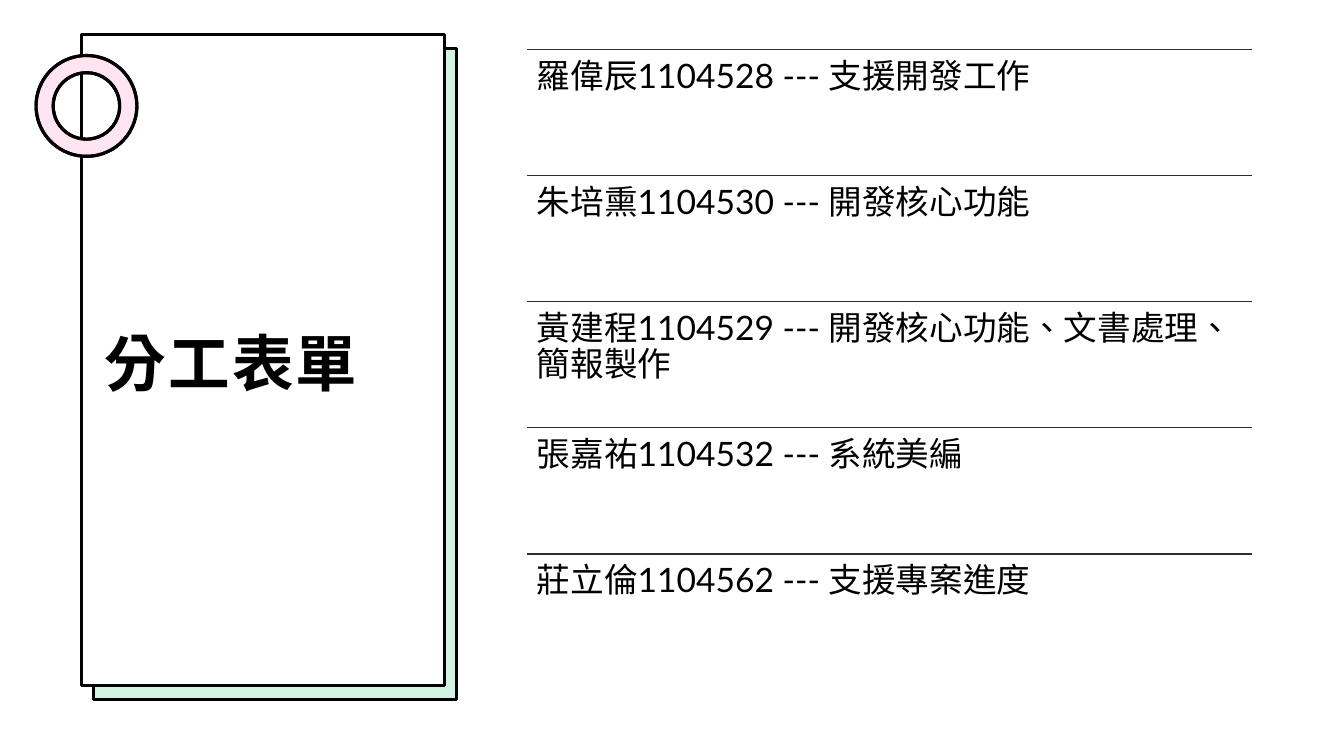
from lxml.etree import SubElement
from pptx import Presentation
from pptx.dml.color import RGBColor
from pptx.enum.shapes import MSO_CONNECTOR, MSO_SHAPE
from pptx.enum.text import MSO_ANCHOR, MSO_AUTO_SIZE, PP_ALIGN
from pptx.oxml.ns import qn
from pptx.util import Cm, Pt

COLORS = {
    "paper": "FFFFFF",
    "ink": "000000",
    "rule": "2D2D2D",
    "green": "21C46B",
    "pink": "FF80BD",
}
FONT = "Lato"
TASKS = [
    "羅偉辰1104528 --- 支援開發工作",
    "朱培熏1104530 --- 開發核心功能",
    "黃建程1104529 --- 開發核心功能、文書處理、簡報製作",
    "張嘉祐1104532 --- 系統美編",
    "莊立倫1104562 --- 支援專案進度",
]
LIST_LEFT, LIST_TOP, LIST_WIDTH, ROW_HEIGHT = 13.28, 1.24, 18.26, 3.18
CARD_SIZE = (9.14, 16.41)
RING_BOX = (0.91, 1.4, 2.54, 2.54)


def color(name):
    """Return the named colour."""
    return RGBColor.from_string(COLORS[name])


def write_text(shape, text, size, bold=False, spacing=0, anchor=MSO_ANCHOR.TOP,
               insets=(0.25, 0.25, 0.25, 0.25)):
    """Fill a shape with one formatted paragraph."""
    frame = shape.text_frame
    frame.word_wrap = True
    frame.auto_size = MSO_AUTO_SIZE.NONE
    frame.vertical_anchor = anchor
    frame.margin_left, frame.margin_top, frame.margin_right, frame.margin_bottom = map(Cm, insets)
    paragraph = frame.paragraphs[0]
    paragraph.alignment = PP_ALIGN.LEFT
    paragraph.line_spacing = 0.9
    run = paragraph.add_run()
    run.text = text
    run.font.name = FONT
    run.font.size = Pt(size)
    run.font.bold = bold
    run.font.color.rgb = color("ink")
    properties = run._r.get_or_add_rPr()
    properties.set("lang", "zh-TW")
    properties.set("spc", str(round(spacing * 100)))


def add_outlined(slide, kind, box, fill, opacity=100):
    """Add a black-outlined preset shape with an optional see-through fill."""
    shape = slide.shapes.add_shape(kind, *map(Cm, box))
    shape.shadow.inherit = False
    shape.fill.solid()
    shape.fill.fore_color.rgb = color(fill)
    shape.line.color.rgb = color("ink")
    shape.line.width = Pt(2.25)
    if opacity < 100:
        fill_color = shape._element.spPr.find(qn("a:solidFill"))[0]
        SubElement(fill_color, qn("a:alpha")).set("val", str(opacity * 1000))
    return shape


def add_ring(slide, fill, opacity=100):
    """Add one layer of the binder ring."""
    ring = add_outlined(slide, MSO_SHAPE.DONUT, RING_BOX, fill, opacity)
    ring.adjustments[0] = 0.17


def add_task(slide, top, text):
    """Add a task with the rule above it."""
    rule = slide.shapes.add_connector(
        MSO_CONNECTOR.STRAIGHT, Cm(LIST_LEFT), Cm(top), Cm(LIST_LEFT + LIST_WIDTH), Cm(top))
    rule.line.color.rgb = color("rule")
    rule.line.width = Pt(1)
    SubElement(rule._element.spPr, qn("a:effectLst"))
    box = slide.shapes.add_textbox(Cm(LIST_LEFT), Cm(top), Cm(LIST_WIDTH), Cm(ROW_HEIGHT))
    write_text(box, text, 24)


def place_title(slide, text):
    """Move the title placeholder onto the card and write it."""
    title = slide.shapes.title
    title.left, title.top, title.width, title.height = map(Cm, (2.34, 3.33, 8.64, 11.76))
    write_text(title, text, 44, bold=True, spacing=1.5, anchor=MSO_ANCHOR.MIDDLE,
               insets=(0.3, 0.3, 0.3, 0.25))
    slide.shapes._spTree.append(title._element)


def main():
    """Build the task list slide."""
    presentation = Presentation()
    presentation.slide_width, presentation.slide_height = Cm(33.87), Cm(19.05)
    slide = presentation.slides.add_slide(presentation.slide_layouts[5])
    add_outlined(slide, MSO_SHAPE.RECTANGLE, (2.36, 1.22, *CARD_SIZE), "green", 20)
    add_outlined(slide, MSO_SHAPE.RECTANGLE, (2.06, 0.86, *CARD_SIZE), "paper")
    add_ring(slide, "paper")
    add_ring(slide, "pink", 20)
    place_title(slide, "分工表單")
    for index, text in enumerate(TASKS):
        add_task(slide, LIST_TOP + index * ROW_HEIGHT, text)
    presentation.save("out.pptx")


if __name__ == "__main__":
    main()
